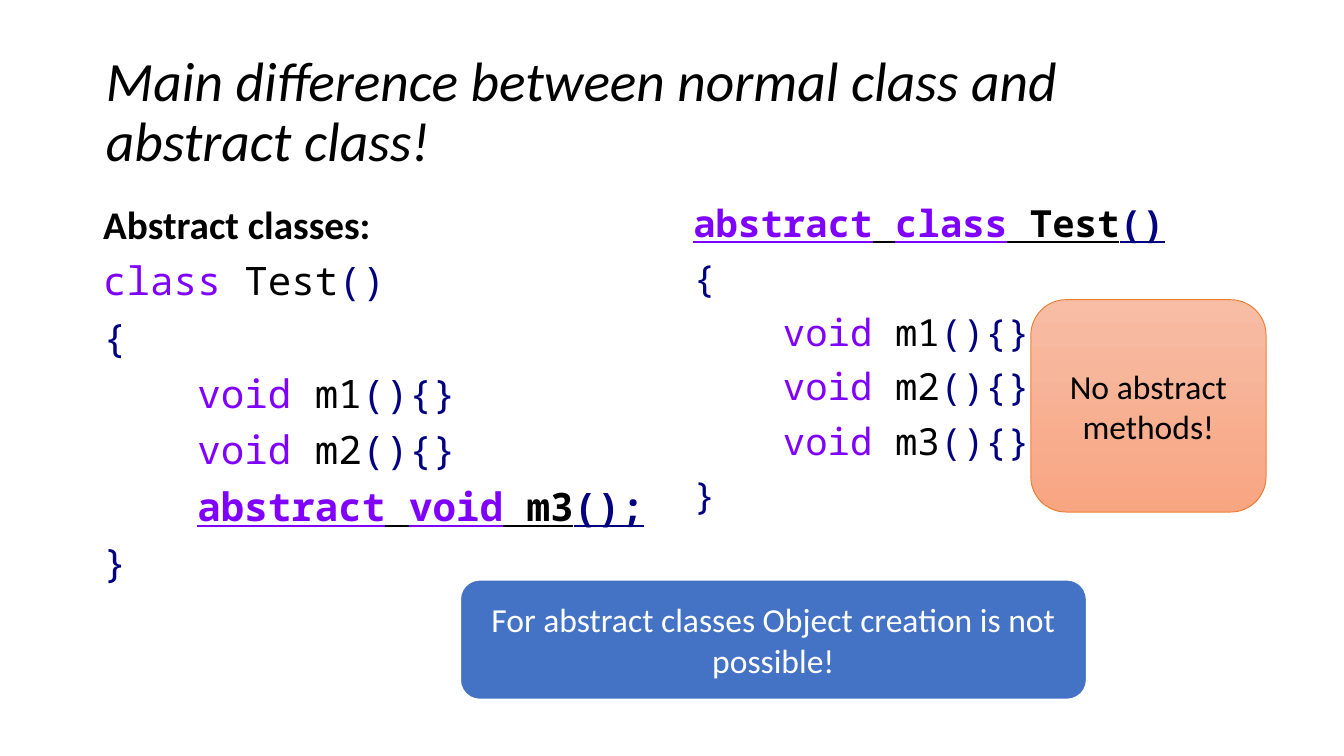
from pptx import Presentation
from pptx.dml.color import RGBColor
from pptx.enum.shapes import MSO_SHAPE
from pptx.enum.text import MSO_ANCHOR, PP_ALIGN
from pptx.util import Inches, Pt

BLACK, WHITE, NAVY, VIOLET = "000000", "FFFFFF", "000080", "8000FF"
BLUE, ORANGE = "4472C4", "ED7D31"
SANS, MONO = "Calibri", "Noto Sans Mono"


def color(code):
    """Turn a hex string into a colour."""
    return RGBColor.from_string(code)


def method(num):
    """Return the indented line of one normal method."""
    return True, False, [("void", VIOLET), (f" m{num}", BLACK), ("(){}", NAVY)]


def brace(mark):
    """Return a line that holds one brace."""
    return False, False, [(mark, NAVY)]


class Page:
    """Hold the style and the current slide."""

    def __init__(self, deck):
        """Add a blank slide to the deck."""
        self.slide = deck.slides.add_slide(deck.slide_layouts[6])

    def run(self, para, text, size, code=BLACK, font=SANS, bold=False,
            italic=False, under=False):
        """Add one styled run."""
        run = para.add_run()
        run.text = text
        style = run.font
        style.name, style.size = font, Pt(size)
        style.bold, style.italic, style.underline = bold, italic, under
        style.color.rgb = color(code)

    def frame(self, box):
        """Add a wrapping text box and return its frame."""
        frame = self.slide.shapes.add_textbox(*map(Inches, box)).text_frame
        frame.word_wrap = True
        return frame

    def title(self, text, box):
        """Add the slanted title."""
        frame = self.frame(box)
        frame.vertical_anchor = MSO_ANCHOR.MIDDLE
        para = frame.paragraphs[0]
        para.line_spacing = 0.9
        self.run(para, text, 29.7, italic=True)

    def code(self, lines, size, box, head=None):
        """Add a column of code under an optional heading."""
        frame = self.frame(box)
        rows = [(False, True, None)] if head else []
        for i, (inner, strong, parts) in enumerate(rows + lines):
            para = frame.add_paragraph() if i else frame.paragraphs[0]
            para.line_spacing, para.space_before = 0.9, Pt(7.5)
            if inner:
                para._p.get_or_add_pPr().set("marL", str(Inches(size / 30)))
            if parts is None:
                self.run(para, head, size, bold=True)
                continue
            for text, tone in parts:
                self.run(para, text, size, tone, MONO, strong, under=strong)

    def note(self, text, box, fills, edge, width, ink):
        """Add a rounded note with a plain or a graded fill."""
        shape = self.slide.shapes.add_shape(
            MSO_SHAPE.ROUNDED_RECTANGLE, *map(Inches, box))
        shape.shadow.inherit = False
        if len(fills) > 1:
            shape.fill.gradient()
            shape.fill.gradient_angle = 270
            for i, stop in enumerate(shape.fill.gradient_stops):
                stop.color.rgb = color(fills[i])
                stop.position = i
        else:
            shape.fill.solid()
            shape.fill.fore_color.rgb = color(fills[0])
        shape.line.color.rgb = color(edge)
        shape.line.width = Pt(width)
        frame = shape.text_frame
        frame.word_wrap = True
        frame.vertical_anchor = MSO_ANCHOR.MIDDLE
        para = frame.paragraphs[0]
        para.alignment = PP_ALIGN.CENTER
        self.run(para, text, 18, ink)


def main():
    """Build the slide and save it."""
    deck = Presentation()
    deck.slide_width, deck.slide_height = Inches(10), Inches(10 * 9 / 16)
    page = Page(deck)
    page.title("Main difference between normal class and abstract class!",
               (0.69, 0.3, 8.62, 1.09))
    name = [("class", VIOLET), (" Test", BLACK), ("()", NAVY)]
    lead = [("abstract", VIOLET), (" ", BLACK)]
    last = lead + [("void", VIOLET), (" m3", BLACK), ("();", NAVY)]
    page.code([(False, False, name), brace("{"), method(1), method(2),
               (True, True, last), brace("}")],
              21, (0.67, 1.48, 4.23, 3.02), "Abstract classes:")
    page.code([(False, True, lead + name), brace("{"),
               *map(method, (1, 2, 3)), brace("}")],
              20, (5.06, 1.48, 4.25, 3.6))
    page.note("No abstract methods!", (7.67, 2.23, 1.75, 1.58),
              ["F7BDA5", "F8A582"], ORANGE, 0.5, BLACK)
    page.note("For abstract classes Object creation is not possible!",
              (3.42, 4.31, 4.67, 0.9), [BLUE], WHITE, 1.5, WHITE)
    deck.save("out.pptx")


if __name__ == "__main__":
    main()
